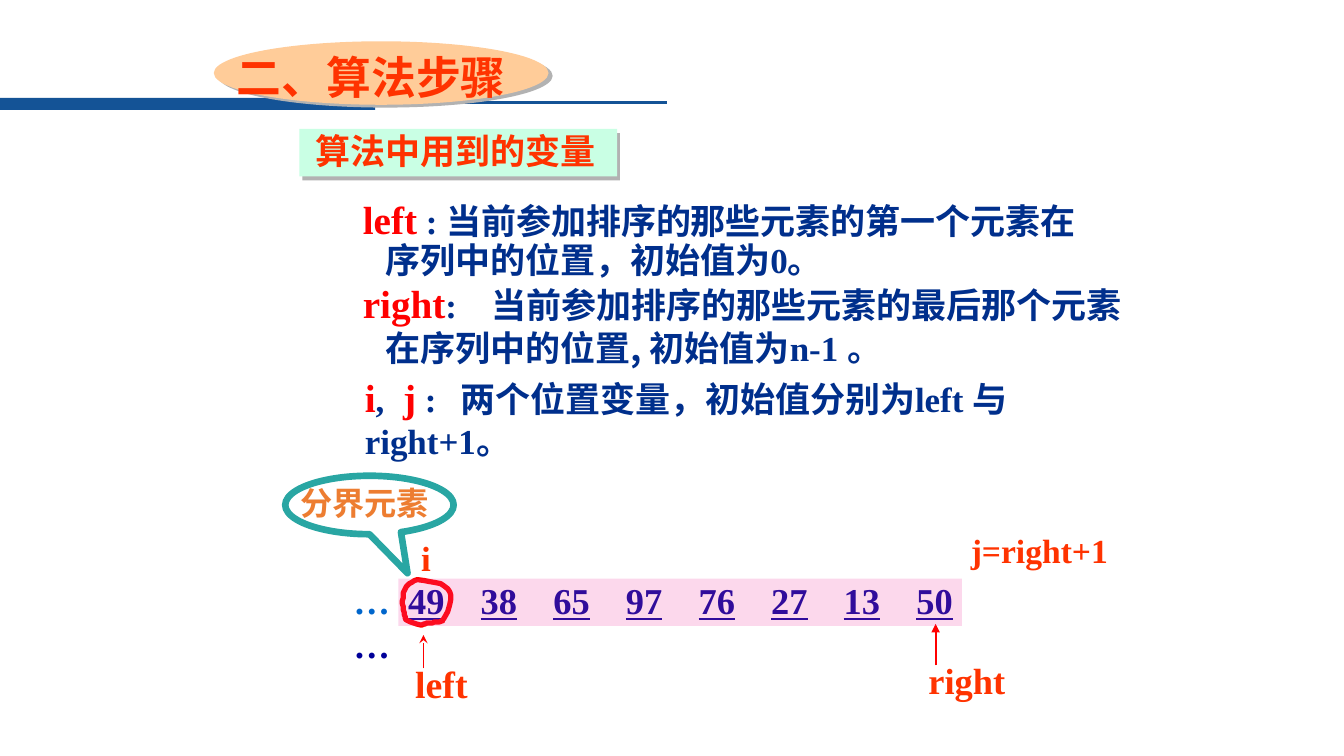
from dataclasses import dataclass

from lxml.etree import SubElement
from pptx import Presentation
from pptx.dml.color import RGBColor
from pptx.enum.shapes import MSO_CONNECTOR, MSO_SHAPE
from pptx.enum.text import MSO_ANCHOR
from pptx.oxml.ns import qn
from pptx.util import Pt

PX = 9144  # 100 px to the inch


@dataclass(frozen=True)
class Theme:
    latin: str = "Times New Roman"
    cjk: str = "Noto Sans CJK SC"
    bar: str = "145396"
    body: str = "002F8C"
    red: str = "FF0000"
    label: str = "FF3300"
    ellipsis: str = "0066CC"
    number: str = "000099"
    orange: str = "ED7D31"
    teal: str = "29A6A3"
    mint: str = "C9FFE4"
    peach: str = "FFCC99"
    pink: str = "F13DA4"
    shade: str = "B2B2B2"
    title_size: int = 32
    key_size: int = 28
    left_size: int = 27
    number_size: int = 26
    body_size: int = 25
    j_size: int = 24
    callout_size: int = 23


T = Theme()


def rgb(color):
    return RGBColor.from_string(color)


def px(*lengths):
    return [length * PX for length in lengths]


def style_outline(outlined, color, width):
    outlined.line.color.rgb = rgb(color)
    outlined.line.width = Pt(width)


def add_panel(slide, preset, box, fill=None, alpha=None):
    panel = slide.shapes.add_shape(preset, *px(*box))
    panel.shadow.inherit = False
    panel.line.fill.background()
    if fill is None:
        panel.fill.background()
    else:
        panel.fill.solid()
        panel.fill.fore_color.rgb = rgb(fill)
    if alpha is not None:
        color = panel.fill._xPr.find(qn("a:solidFill"))[0]
        SubElement(color, qn("a:alpha"), val=str(alpha * 1000))
    return panel


def add_hard_shadow(panel, angle):
    effects = panel._element.spPr.find(qn("a:effectLst"))
    shadow = SubElement(effects, qn("a:outerShdw"), blurRad="0",
                        dist=str(Pt(3.6)), dir=str(angle * 60000),
                        algn="ctr", rotWithShape="0")
    SubElement(shadow, qn("a:srgbClr"), val=T.shade)


def add_line(slide, start, end, color, width, head=None):
    line = slide.shapes.add_connector(
        MSO_CONNECTOR.STRAIGHT, *px(*start, *end))
    style_outline(line, color, width)
    if head:
        SubElement(line.line._get_or_add_ln(), qn("a:tailEnd"), type=head)
    SubElement(line._element.spPr, qn("a:effectLst"))


def add_run(paragraph, text, size, color, font=T.latin, underline=False):
    run = paragraph.add_run()
    run.text = text
    run.font.size = Pt(size)
    run.font.bold = True
    run.font.color.rgb = rgb(color)
    run.font.name = font
    if underline:
        run.font.underline = True
    latin = run.font._element.find(qn("a:latin"))
    latin.addnext(latin.makeelement(qn("a:ea"), {"typeface": T.cjk}))


def add_text_frame(slide, box, wrap=True):
    frame = slide.shapes.add_textbox(*px(*box)).text_frame
    frame.word_wrap = wrap
    frame.vertical_anchor = MSO_ANCHOR.TOP
    return frame


def add_label(slide, box, text, size, color, wrap=True):
    frame = add_text_frame(slide, box, wrap)
    add_run(frame.paragraphs[0], text, size, color)


def set_tabs(paragraph, stops):
    tabs = SubElement(paragraph._p.get_or_add_pPr(), qn("a:tabLst"))
    for stop in stops:
        SubElement(tabs, qn("a:tab"), pos=str(stop * PX), algn="l")


def add_key(paragraph, text):
    add_run(paragraph, text, T.key_size, T.red)


def add_body(paragraph, *parts):
    """Alternate Latin and Chinese parts, Latin first."""
    for index, part in enumerate(parts):
        if part:
            add_run(paragraph, part, T.body_size, T.body,
                    T.cjk if index % 2 else T.latin)


def add_definitions(slide):
    frame = add_text_frame(slide, (350, 194, 781, 178))
    definitions = [
        ("left", [], 0, (" : ", "当前参加排序的那些元素的第一个元素在")),
        ("", [], 0, ("", "序列中的位置，初始值为", "0", "。")),
        ("right", [128], 3, (":\t", "当前参加排序的那些元素的最后那个元素")),
        ("", [], 3, ("", "在序列中的位置, 初始值为", "n-1 ", "。")),
    ]
    for index, (key, stops, before, parts) in enumerate(definitions):
        line = frame.add_paragraph() if index else frame.paragraphs[0]
        if stops:
            set_tabs(line, stops)
        line.line_spacing = 0.9
        if before:
            line.space_before = Pt(before)
        if key:
            add_key(line, key)
        else:
            line._p.get_or_add_pPr().set("marL", str(23 * PX))
        add_body(line, *parts)


def add_positions(slide):
    line = add_text_frame(slide, (352, 365, 795, 57)).paragraphs[0]
    set_tabs(line, [38, 95])
    add_key(line, "i")
    add_body(line, ",\t")
    add_key(line, "j")
    add_body(line, " :\t", "两个位置变量，初始值分别为", "left ", "与", "right+1。")


def add_sequence(slide, values):
    frame = add_text_frame(slide, (341, 569, 679, 53))
    row = frame.paragraphs[0]
    set_tabs(row, [54 + 72 * index for index in range(len(values))])
    add_run(row, "…\t", T.number_size, T.ellipsis)
    add_run(row, "\t".join(map(str, values)), T.number_size, T.number,
            underline=True)
    add_run(frame.add_paragraph(), "…", T.number_size, T.number)


def curve_points(start, curves, steps=12):
    """Points along joined cubic Bézier curves."""
    for first, second, end in curves:
        for step in range(1, steps + 1):
            t = step / steps
            u = 1 - t
            yield tuple(
                u**3 * a + 3 * u * u * t * b + 3 * u * t * t * c + t**3 * d
                for a, b, c, d in zip(start, first, second, end))
        start = end


def add_pivot_ring(slide):
    start = (399, 599)
    curves = [
        ((401, 586), (399, 580), (414, 575)),
        ((441, 578), (457, 582), (440, 614)),
        ((438, 618), (430, 617), (425, 618)),
        ((422, 619), (417, 620), (417, 620)),
        ((399, 616), (402, 614), start),
    ]
    builder = slide.shapes.build_freeform(*start, scale=PX)
    builder.add_line_segments(list(curve_points(start, curves)), close=True)
    ring = builder.convert_to_shape()
    ring.shadow.inherit = False
    ring.fill.background()
    style_outline(ring, T.red, 3.75)


def add_pivot_callout(slide):
    bubble = add_panel(slide, MSO_SHAPE.OVAL_CALLOUT, (283, 472, 167, 58))
    bubble.adjustments[0] = 0.226
    bubble.adjustments[1] = 1.167
    style_outline(bubble, T.teal, 4.75)
    add_label(slide, (288, 475, 193, 48), "分界元素",
              T.callout_size, T.orange)
    add_pivot_ring(slide)


def add_heading(slide, preset, box, fill, angle, text_box, text, size):
    add_hard_shadow(add_panel(slide, preset, box, fill), angle)
    add_label(slide, text_box, text, size, T.label)


def main():
    deck = Presentation()
    deck.slide_width, deck.slide_height = px(1333, 750)
    slide = deck.slides.add_slide(deck.slide_layouts[6])

    add_panel(slide, MSO_SHAPE.RECTANGLE, (0, 97, 372, 12), T.bar)
    add_line(slide, (368, 102), (662, 102), T.bar, 2.25)
    add_definitions(slide)
    add_positions(slide)
    add_sequence(slide, [49, 38, 65, 97, 76, 27, 13, 50])

    add_label(slide, (408, 527, 30, 52), "i", T.body_size, T.label, False)
    add_label(slide, (953, 521, 178, 50), "j=right+1", T.j_size, T.label)
    add_label(slide, (402, 651, 73, 56), "left", T.left_size, T.label, False)
    add_line(slide, (420, 663), (420, 630), T.red, 1.25, "stealth")
    add_label(slide, (911, 648, 97, 54), "right", T.number_size, T.label, False)
    add_line(slide, (928, 660), (928, 619), T.red, 1.5, "triangle")

    add_heading(slide, MSO_SHAPE.RECTANGLE, (297, 128, 315, 47), T.mint, 56,
                (303, 124, 355, 52), "算法中用到的变量", T.body_size)
    add_pivot_callout(slide)
    add_heading(slide, MSO_SHAPE.OVAL, (212, 41, 332, 63), T.peach, 34,
                (225, 44, 414, 63), "二、算法步骤", T.title_size)
    add_panel(slide, MSO_SHAPE.RECTANGLE, (395, 574, 559, 47), T.pink, 20)
    deck.save("out.pptx")


if __name__ == "__main__":
    main()
